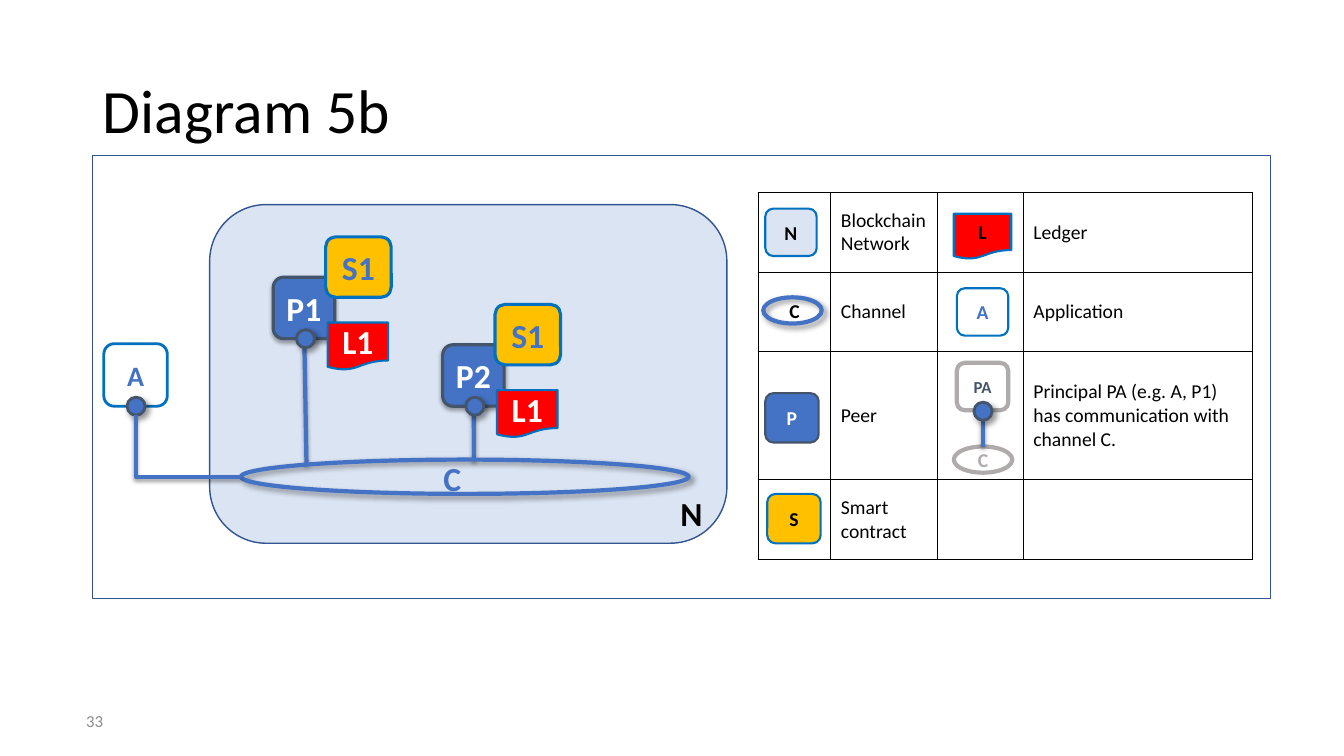
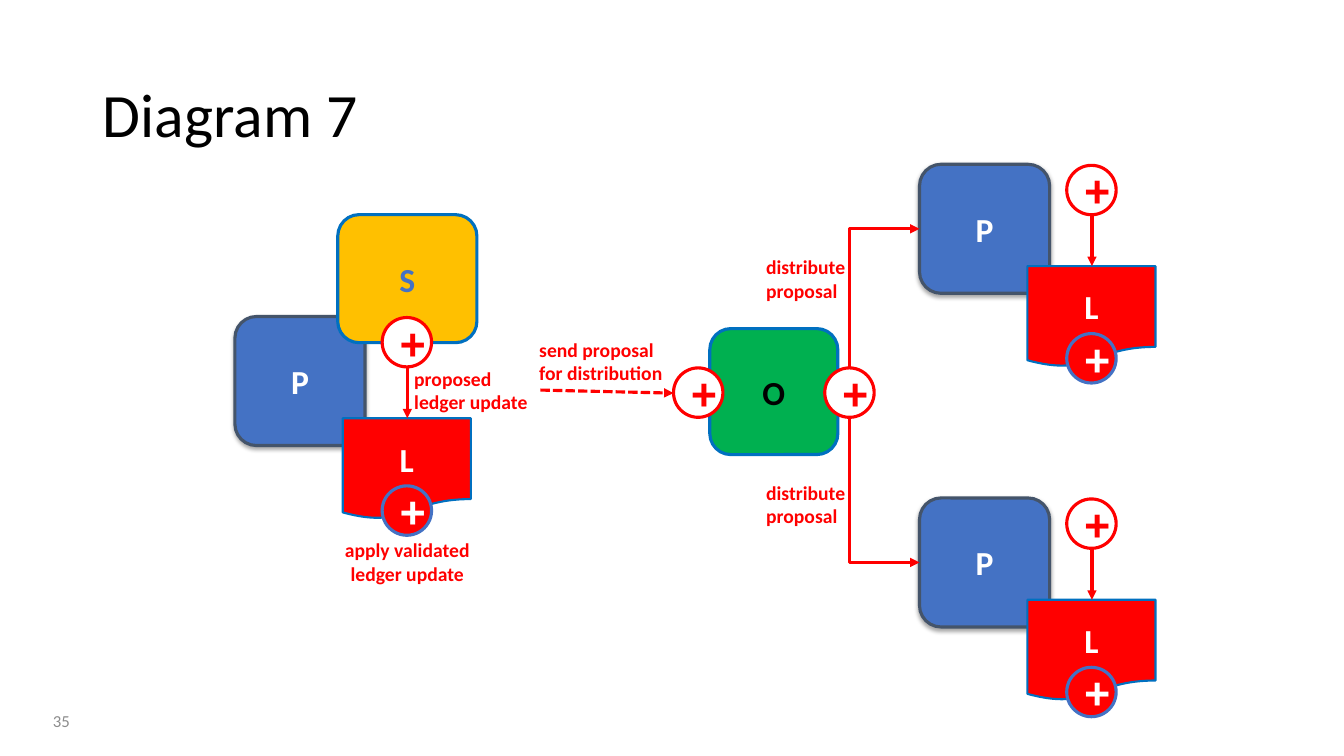
from dataclasses import dataclass, replace

from lxml.etree import SubElement
from pptx import Presentation
from pptx.dml.color import RGBColor
from pptx.enum.dml import MSO_LINE
from pptx.enum.shapes import MSO_CONNECTOR, MSO_SHAPE
from pptx.enum.text import MSO_ANCHOR, PP_ALIGN
from pptx.oxml import parse_xml
from pptx.oxml.ns import nsdecls, qn
from pptx.util import Inches, Pt


@dataclass(frozen=True)
class Look:
    kind: MSO_SHAPE
    fill: str
    line: str
    width: float
    ink: str = ""
    shadow: tuple = ()
    font: str = "Calibri"


class Theme:
    font, mono = "Calibri", "Courier New"
    black, white, red, grey = "000000", "FFFFFF", "FF0000", "AFABAB"
    blue, sea, slate, page = "4472C4", "0070C0", "44546A", "8C8C8C"
    navy, pale, amber, green = "325491", "DBE4F3", "FFC000", "00B050"
    title, plus, label, app, small, tiny = 44, 32, 24, 20, 14, 12
    soft, hard, under = (35, 3.1, 1.8, 90), (40, 4, 3, 45), (38, 3.1, 1.6, 90)

    frame = Look(MSO_SHAPE.RECTANGLE, "", navy, 1)
    network = Look(MSO_SHAPE.ROUNDED_RECTANGLE, pale, navy, 1, black)
    peer = Look(MSO_SHAPE.ROUNDED_RECTANGLE, blue, slate, 2.25, white, soft)
    contract = Look(MSO_SHAPE.ROUNDED_RECTANGLE, amber, sea, 2.25, blue)
    orderer = replace(contract, fill=green, ink=black)
    client = replace(contract, fill=white, width=2)
    principal = Look(MSO_SHAPE.ROUNDED_RECTANGLE, "", grey, 3, slate)
    ledger = Look(MSO_SHAPE.FLOWCHART_DOCUMENT, red, sea, 1.5, white)
    channel = Look(MSO_SHAPE.OVAL, "", blue, 3, blue, hard)
    faded = replace(channel, line=grey, ink=grey, shadow=())
    dot = Look(MSO_SHAPE.OVAL, blue, slate, 2, shadow=hard)
    proposal = Look(MSO_SHAPE.OVAL, white, red, 2.25, red, font=mono)
    applied = replace(proposal, fill=red, line=blue, ink=white)


T = Theme


def rgb(color):
    return RGBColor.from_string(color)


def add_run(p, text, size, color, bold=False, font=T.font):
    r = p.add_run()
    r.text = text
    r.font.name, r.font.size, r.font.bold = font, Pt(size), bold
    r.font.color.rgb = rgb(color)


def set_shadow(shape, shadow):
    effects = SubElement(shape._element.spPr, qn("a:effectLst"))
    if shadow:
        alpha, blur, dist, angle = shadow
        effects.append(parse_xml(
            f'<a:outerShdw {nsdecls("a")} blurRad="{Pt(blur)}" dist="{Pt(dist)}" '
            f'dir="{angle * 60000}" rotWithShape="0"><a:srgbClr val="{T.black}">'
            f'<a:alpha val="{alpha * 1000}"/></a:srgbClr></a:outerShdw>'))


def draw(s, look, x, y, w, h, text="", size=T.label):
    sp = s.shapes.add_shape(look.kind, Inches(x), Inches(y), Inches(w), Inches(h))
    if look.fill:
        sp.fill.solid()
        sp.fill.fore_color.rgb = rgb(look.fill)
    else:
        sp.fill.background()
    sp.line.color.rgb = rgb(look.line)
    sp.line.width = Pt(look.width)
    set_shadow(sp, look.shadow)
    if text:
        tf = sp.text_frame
        tf.vertical_anchor = MSO_ANCHOR.MIDDLE
        p = tf.paragraphs[0]
        p.alignment = PP_ALIGN.CENTER
        add_run(p, text, size, look.ink, True, look.font)
    return sp


def add_label(s, x, y, w, h, lines, size=T.small, color=T.red, bold=True, align=PP_ALIGN.LEFT):
    tf = s.shapes.add_textbox(Inches(x), Inches(y), Inches(w), Inches(h)).text_frame
    tf.word_wrap = True
    for i, line in enumerate(lines):
        p = tf.add_paragraph() if i else tf.paragraphs[0]
        p.alignment = align
        add_run(p, line, size, color, bold)
    return tf


def style_line(c, color, width, shadow=(), arrow="", dash=None):
    c.line.color.rgb = rgb(color)
    c.line.width = Pt(width)
    if dash:
        c.line.dash_style = dash
    if arrow:
        SubElement(c._element.spPr.find(qn("a:ln")), qn(f"a:{arrow}"), type="triangle")
    set_shadow(c, shadow)


def add_line(s, x1, y1, x2, y2, **style):
    c = s.shapes.add_connector(MSO_CONNECTOR.STRAIGHT, Inches(x1), Inches(y1), Inches(x2), Inches(y2))
    style_line(c, **style)


def add_bend(s, box, oval, oval_side, **style):
    c = s.shapes.add_connector(MSO_CONNECTOR.ELBOW, 0, 0, 0, 0)
    c.begin_connect(box, 1)
    c.end_connect(oval, oval_side)
    for end in c._element.iter(qn("a:stCxn"), qn("a:endCxn")):
        is_oval = end.tag == qn("a:endCxn") or box.auto_shape_type == MSO_SHAPE.OVAL
        end.set("idx", str(int(end.get("idx")) * (2 if is_oval else 1)))
    c._element.spPr.find(qn("a:prstGeom")).set("prst", "bentConnector2")
    style_line(c, **style)


WIRE = dict(color=T.blue, width=3, shadow=T.under)
FLOW = dict(color=T.red, width=2.25)


def new_slide(prs, title, top, number, number_width):
    s = prs.slides.add_slide(prs.slide_layouts[5])
    sp = s.shapes.title
    sp.left, sp.top, sp.width, sp.height = Inches(0.92), Inches(top), Inches(11.5), Inches(1.45)
    tf = sp.text_frame
    tf.vertical_anchor = MSO_ANCHOR.MIDDLE
    p = tf.paragraphs[0]
    p.alignment, p.line_spacing = PP_ALIGN.LEFT, 0.9
    add_run(p, title, T.title, T.black)
    tf = add_label(s, 0.3, 6.95, number_width, 0.4, [number], T.tiny, T.page, False, PP_ALIGN.RIGHT)
    tf.vertical_anchor = MSO_ANCHOR.MIDDLE
    return s


def add_dot(s, x, y):
    return draw(s, T.dot, x, y, 0.18, 0.18)


def add_node(s, x, y, name, end_x, end_y):
    draw(s, T.peer, x, y, 0.61, 0.61, name)
    draw(s, T.ledger, x + 0.54, y + 0.45, 0.6, 0.47, "L1")
    draw(s, T.contract, x + 0.52, y - 0.4, 0.65, 0.6, "S1")
    add_line(s, x + 0.31, y + 0.69, end_x, end_y, **WIRE)
    add_dot(s, x + 0.23, y + 0.52)


def add_network(s, x, y):
    draw(s, T.network, x + 1.05, y, 5.13, 3.36)
    add_label(s, x + 5.62, y + 2.81, 0.58, 0.5, ["N"], T.label, T.black)
    draw(s, T.client, x, y + 1.38, 0.63, 0.62, "A", T.app)
    add_label(s, x + 3.27, y + 2.46, 0.68, 0.5, ["C"], T.label, T.blue)
    add_node(s, x + 3.36, y + 1.39, "P2", x + 3.67, y + 2.54)
    add_node(s, x + 1.68, y + 0.72, "P1", x + 2.01, y + 2.58)
    channel = draw(s, T.channel, x + 1.36, y + 2.53, 4.44, 0.34)
    client_dot = add_dot(s, x + 0.23, y + 1.91)
    add_bend(s, channel, client_dot, 2, **WIRE)


def set_borders(cell):
    tcPr = cell._tc.get_or_add_tcPr()
    for i, side in enumerate("LRTB"):
        tcPr.insert(i, parse_xml(
            f'<a:ln{side} {nsdecls("a")} w="{Pt(1)}"><a:solidFill>'
            f'<a:srgbClr val="{T.black}"/></a:solidFill></a:ln{side}>'))


def add_legend_table(s, x, y):
    rows = [("Blockchain Network", "Ledger"), ("Channel", "Application"),
            ("Peer", "Principal PA (e.g. A, P1) has communication with channel C."),
            ("Smart contract", "")]
    widths, heights = (0.72, 1.06, 0.85, 2.27), (0.79, 0.79, 1.27, 0.79)
    table = s.shapes.add_table(4, 4, Inches(x), Inches(y), Inches(sum(widths)), Inches(sum(heights))).table
    table.first_row = table.horz_banding = False
    for col, width in zip(table.columns, widths):
        col.width = Inches(width)
    for row, height in zip(table.rows, heights):
        row.height = Inches(height)
    for cell in table.iter_cells():
        cell.fill.background()
        cell.vertical_anchor = MSO_ANCHOR.MIDDLE
        set_borders(cell)
    for i, texts in enumerate(rows):
        for j, text in zip((1, 3), texts):
            if text:
                add_run(table.cell(i, j).text_frame.paragraphs[0], text, T.small, T.black)
    p = table.cell(1, 0).text_frame.paragraphs[0]
    p.alignment = PP_ALIGN.CENTER
    add_run(p, "C", T.small, T.black, True)


def add_legend(s, x, y):
    add_legend_table(s, x, y)
    icons = [
        (replace(T.ledger, ink=T.black), 1.94, 0.21, 0.57, 0.45, "L"),
        (replace(T.network, line=T.sea, width=1.5), 0.07, 0.16, 0.51, 0.47, "N"),
        (replace(T.contract, width=1.5, ink=T.black), 0.09, 2.99, 0.53, 0.49, "S"),
        (replace(T.peer, width=1.5, shadow=()), 0.07, 1.99, 0.53, 0.49, "P"),
        (T.channel, 0.05, 1.04, 0.58, 0.26, ""),
        (replace(T.client, width=1.5), 1.97, 0.95, 0.51, 0.47, "A"),
        (T.faded, 1.94, 2.52, 0.58, 0.26, "C"),
    ]
    for look, dx, dy, w, h, text in icons:
        draw(s, look, x + dx, y + dy, w, h, text, T.small)
    draw(s, T.principal, x + 1.97, y + 1.69, 0.51, 0.47, "PA", T.tiny)
    add_line(s, x + 2.23, y + 2.25, x + 2.23, y + 2.52, **WIRE)
    add_dot(s, x + 2.14, y + 2.08)


def add_plus(s, look, x, y):
    return draw(s, look, x, y, 0.49, 0.49, "+", T.plus)


def add_peer(s, x, y, contract=False):
    peer = draw(s, T.peer, x, y, 1.29, 1.28, "P")
    draw(s, T.ledger, x + 1.07, y + 1.01, 1.27, 1, "L")
    add_plus(s, T.applied, x + 1.46, y + 1.68)
    if contract:
        draw(s, T.contract, x + 1.02, y - 1.01, 1.38, 1.27, "S")
    add_line(s, x + 1.71, y + 0.5, x + 1.71, y + 1.01, arrow="tailEnd", **FLOW)
    add_plus(s, T.proposal, x + 1.46, y + 0.01)
    return peer


def add_proposer(s, x, y):
    add_peer(s, x, y, contract=True)
    add_label(s, x + 1.68, y + 0.45, 1.35, 0.57, ["proposed", "ledger update"])
    add_label(s, x + 0.89, y + 2.15, 1.64, 0.57, ["apply validated", "ledger update"],
              align=PP_ALIGN.CENTER)


def add_orderer(s, x, y, peers):
    draw(s, T.orderer, x, y, 1.27, 1.25, "O")
    sender = add_plus(s, T.proposal, x + 1.14, y + 0.39)
    for peer, side in zip(peers, (0, 2)):
        add_bend(s, peer, sender, side, arrow="headEnd", **FLOW)
    add_plus(s, T.proposal, x - 0.36, y + 0.39)
    add_line(s, x - 1.68, y + 0.61, x - 0.36, y + 0.64, arrow="tailEnd",
             dash=MSO_LINE.SQUARE_DOT, **FLOW)
    add_label(s, x - 1.79, y + 0.04, 1.47, 0.57, ["send proposal for distribution"])
    for dy in (-0.78, 1.46):
        add_label(s, x + 0.46, y + dy, 1.47, 0.57, ["distribute proposal"])


def main():
    prs = Presentation()
    prs.slide_width, prs.slide_height = Inches(13.33), Inches(7.5)

    s = new_slide(prs, "Diagram 5b", 0.4, "33", 0.82)
    add_network(s, 1.03, 2.03)
    add_legend(s, 7.52, 1.91)
    draw(s, T.frame, 0.92, 1.54, 11.68, 4.4)

    s = new_slide(prs, "Diagram 7", 0.44, "35", 0.49)
    add_proposer(s, 2.33, 3.14)
    peers = [add_peer(s, 9.12, y) for y in (1.63, 4.94)]
    add_orderer(s, 7.04, 3.26, peers)

    prs.save("out.pptx")


if __name__ == "__main__":
    main()
